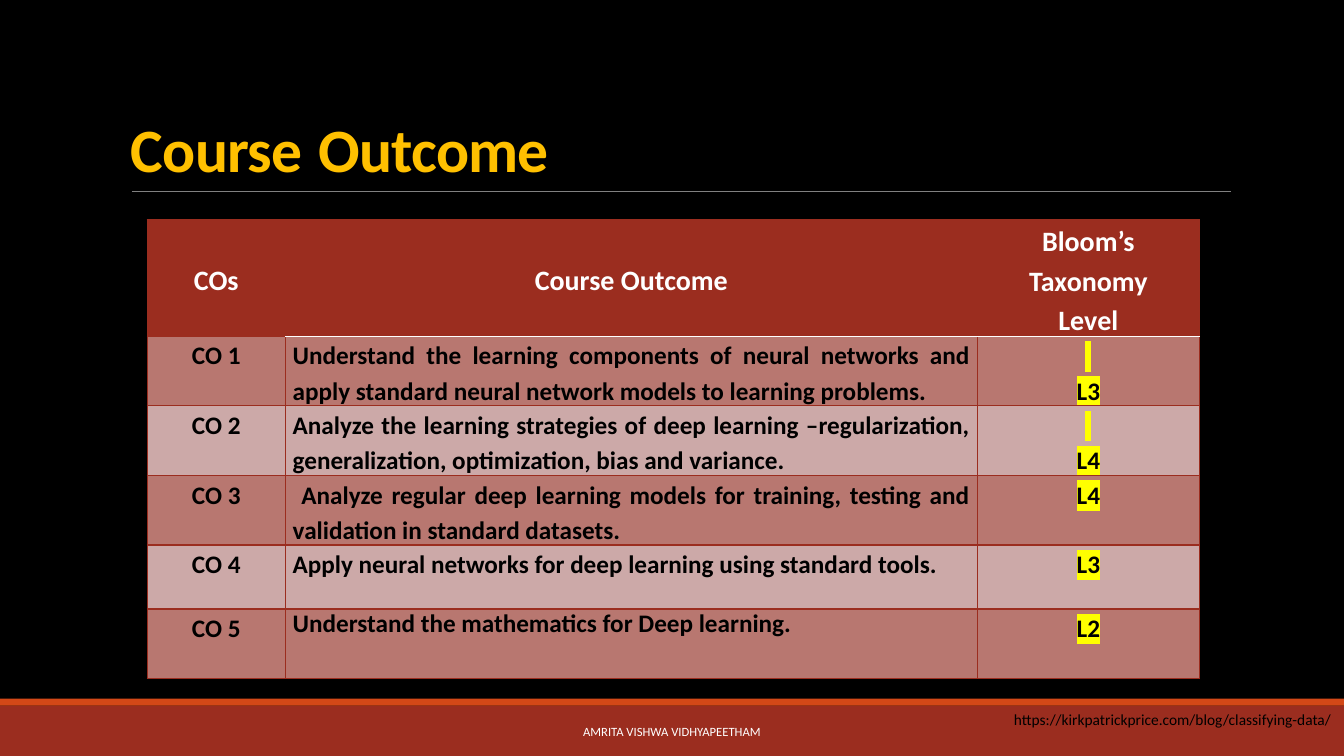
import pptx
import pptx.util
import pptx.dml.color
import pptx.enum.shapes
import pptx.enum.text
import pptx.oxml
import pptx.oxml.ns
from lxml import etree

Pt = pptx.util.Pt
ALIGN = pptx.enum.text.PP_ALIGN
ANCHOR = pptx.enum.text.MSO_ANCHOR
SHAPE = pptx.enum.shapes.MSO_SHAPE
qn = pptx.oxml.ns.qn

HEX = {
    "black": "000000", "white": "FFFFFF", "gold": "FFC000", "gray": "808080",
    "brick": "9B2D1F", "orange": "D34817", "dark": "B87770", "light": "CCA9A8",
    "mark": "FFFF00",
}


def color(name):
    return pptx.dml.color.RGBColor.from_string(HEX[name])


def add_run(para, text, size, tone, bold=False, mark=False):
    run = para.add_run()
    run.text = text
    run.font.size = Pt(size)
    run.font.bold = bold
    run.font.name = "Calibri"
    run.font.color.rgb = color(tone)
    if mark:
        glow = etree.Element(qn("a:highlight"))
        etree.SubElement(glow, qn("a:srgbClr"), val=HEX["mark"])
        run.font._element.find(qn("a:solidFill")).addnext(glow)
    return run


deck = pptx.Presentation()
deck.slide_width, deck.slide_height = Pt(960), Pt(540)
slide = deck.slides.add_slide(deck.slide_layouts[6])
slide.background.fill.solid()
slide.background.fill.fore_color.rgb = color("black")

# Footer bands and title rule
for top, height, tone in [(504, 36, "brick"), (499, 5, "orange")]:
    band = slide.shapes.add_shape(SHAPE.RECTANGLE, 0, Pt(top), Pt(960), Pt(height))
    band.shadow.inherit = False
    band.fill.solid()
    band.fill.fore_color.rgb = color(tone)
    band.line.fill.background()

rule = slide.shapes.add_connector(
    pptx.enum.shapes.MSO_CONNECTOR.STRAIGHT, Pt(94.3), Pt(136.8), Pt(879), Pt(136.8))
rule.line.color.rgb = color("gray")
rule.line.width = Pt(0.5)
etree.SubElement(rule._element.spPr, qn("a:effectLst"))

# Title, link and footer
title = slide.shapes.add_textbox(Pt(86.4), Pt(22.3), Pt(792), Pt(114.5)).text_frame
title.word_wrap = True
title.vertical_anchor = ANCHOR.BOTTOM
para = title.paragraphs[0]
para.line_spacing = 0.85
for text, size, tone in [("Course", 44, "gold"), (" ", 48, "white"), ("Outcome", 44, "gold")]:
    run = add_run(para, text, size, tone, bold=True)
    run.font._element.set("spc", "-50")

link = slide.shapes.add_textbox(Pt(717.1), Pt(504), Pt(242.6), Pt(20.9)).text_frame
link.word_wrap = False
add_run(link.paragraphs[0], "https://kirkpatrickprice.com/blog/classifying-data/", 11, "black")

foot = slide.shapes.add_textbox(Pt(290.2), Pt(508.3), Pt(379.4), Pt(28.8)).text_frame
foot.word_wrap = True
foot.vertical_anchor = ANCHOR.MIDDLE
foot.paragraphs[0].alignment = ALIGN.CENTER
add_run(foot.paragraphs[0], "AMRITA VISHWA VIDHYAPEETHAM", 9, "white")

# Outcome table: each cell is a list of paragraphs
rows = [
    (83.2, ["COs"], ["Course Outcome"], ["Bloom’s Taxonomy", "Level"]),
    (49.7, ["CO 1"], ["Understand the learning components of neural networks and "
                      "apply standard neural network models to learning problems."], [" ", "L3"]),
    (49.7, ["CO 2"], ["Analyze the learning strategies of deep learning –regularization, "
                      "generalization, optimization, bias and variance."], [" ", "L4"]),
    (49.7, ["CO 3"], [" Analyze regular deep learning models for training, testing and "
                      "validation in standard datasets."], ["L4"]),
    (45.7, ["CO 4"], ["Apply neural networks for deep learning using standard tools."], ["L3"]),
    (49.7, ["CO 5"], ["Understand the mathematics for Deep learning."], ["L2"]),
]
widths = [98.8, 494.2, 158.6]
frame = slide.shapes.add_table(
    len(rows), len(widths), Pt(105.1), Pt(157), Pt(sum(widths)), Pt(sum(row[0] for row in rows)))
table = frame.table
table.first_row = table.horz_banding = False
for c, width in enumerate(widths):
    table.columns[c].width = Pt(width)

for r, (height, *cells) in enumerate(rows):
    table.rows[r].height = Pt(height)
    head = r == 0
    for c, lines in enumerate(cells):
        cell = table.cell(r, c)
        cell.margin_left = cell.margin_right = Pt(5.2)
        cell.margin_top = cell.margin_bottom = 0
        cell.vertical_anchor = ANCHOR.MIDDLE if head else ANCHOR.TOP
        cell.fill.solid()
        cell.fill.fore_color.rgb = color("brick" if head else "dark" if r % 2 else "light")
        for n, line in enumerate(lines):
            para = cell.text_frame.paragraphs[0] if n == 0 else cell.text_frame.add_paragraph()
            para.alignment = ALIGN.JUSTIFY if c == 1 and not head else ALIGN.CENTER
            para.line_spacing = 1.0 if (r, c) == (5, 1) else 1.15
            add_run(para, line, 20 if head else 18, "white" if head else "black",
                    bold=True, mark=c == 2 and not head)
        for n, side in enumerate(["lnL", "lnR", "lnT", "lnB"]):
            seam = c > 0 and (r, side) in [(0, "lnB"), (1, "lnT")]
            edge = etree.Element(qn("a:" + side), w=str(Pt(1.25 if seam else 1)))
            fill = etree.SubElement(edge, qn("a:solidFill"))
            etree.SubElement(fill, qn("a:srgbClr"), val=HEX["white" if seam else "brick"])
            cell._tc.get_or_add_tcPr().insert(n, edge)

deck.save("out.pptx")
